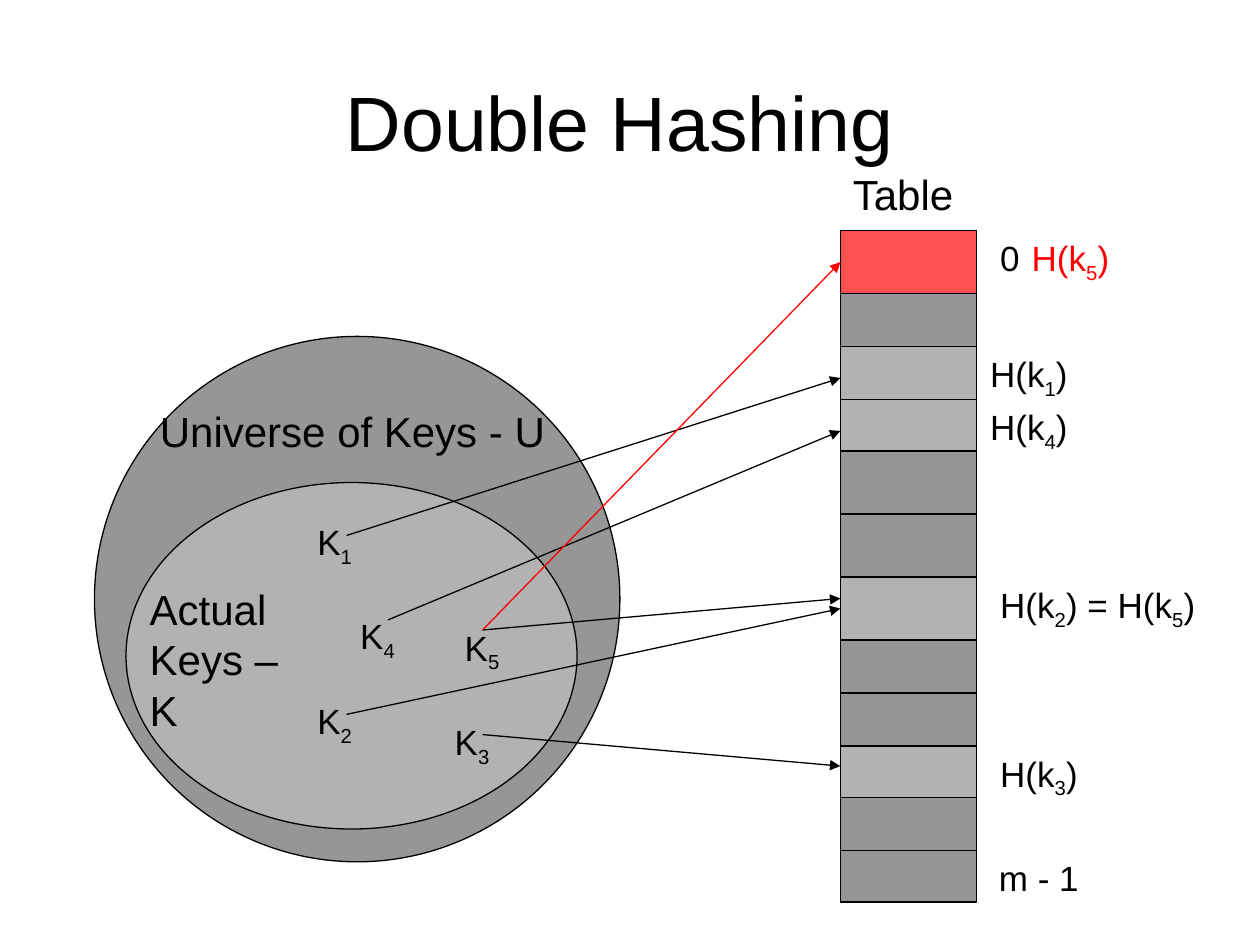
from lxml import etree
from pptx import Presentation
from pptx.dml.color import RGBColor
from pptx.enum.shapes import MSO_CONNECTOR, MSO_SHAPE
from pptx.enum.text import MSO_ANCHOR, MSO_AUTO_SIZE, PP_ALIGN
from pptx.oxml.ns import qn
from pptx.util import Inches, Pt

BLACK, RED = "000000", "FF0000"
DARK_GRAY, LIGHT_GRAY, LIGHT_RED = "969696", "B2B2B2", "FF5050"


def rgb(color):
    return RGBColor.from_string(color)


def add_runs(paragraph, text, size, color=BLACK):
    """Underscores switch subscript on and off."""
    for i, part in enumerate(text.split("_")):
        if part:
            run = paragraph.add_run()
            run.text = part
            run.font.name = "Arial"
            run.font.size = Pt(size)
            run.font.color.rgb = rgb(color)
            if i % 2:
                run.font._element.set("baseline", "-25000")


prs = Presentation()
prs.slide_width, prs.slide_height = Inches(10), Inches(7.5)
slide = prs.slides.add_slide(prs.slide_layouts[5])
shapes = slide.shapes

title = shapes.title
title.left, title.top = Inches(0.67), Inches(0.33)
title.width, title.height = Inches(8.5), Inches(1.25)
title.text_frame.vertical_anchor = MSO_ANCHOR.MIDDLE
title.text_frame.paragraphs[0].alignment = PP_ALIGN.CENTER
add_runs(title.text_frame.paragraphs[0], "Double Hashing", 44)

# Key sets, the table column and its used slots
TABLE_LEFT, TABLE_WIDTH = 6.67, 1.08
row_edges = [1.83, 2.33, 2.75, 3.17, 3.58, 4.08, 4.58,
             5.08, 5.5, 5.92, 6.33, 6.75, 7.16]
areas = [
    (MSO_SHAPE.OVAL, 0.75, 2.67, 4.17, 4.17, DARK_GRAY),
    (MSO_SHAPE.OVAL, 1, 3.83, 3.58, 2.75, LIGHT_GRAY),
    (MSO_SHAPE.RECTANGLE, TABLE_LEFT, row_edges[0], TABLE_WIDTH,
     row_edges[-1] - row_edges[0], DARK_GRAY),
]
used_rows = {0: LIGHT_RED, 2: LIGHT_GRAY, 3: LIGHT_GRAY, 6: LIGHT_GRAY, 9: LIGHT_GRAY}
for row, fill in used_rows.items():
    areas.append((MSO_SHAPE.RECTANGLE, TABLE_LEFT, row_edges[row], TABLE_WIDTH,
                  row_edges[row + 1] - row_edges[row], fill))

drawn_areas = []
for kind, left, top, width, height, fill in areas:
    area = shapes.add_shape(kind, Inches(left), Inches(top), Inches(width), Inches(height))
    area.shadow.inherit = False
    area.fill.solid()
    area.fill.fore_color.rgb = rgb(fill)
    area.line.color.rgb = rgb(BLACK)
    area.line.width = Pt(0.75)
    drawn_areas.append(area)
slots = dict(zip(used_rows, drawn_areas[3:]))

# Row dividers, then arrows from keys to slots.
# The last value is the row whose left side the arrow meets in the middle.
lines = [(TABLE_LEFT, y, TABLE_LEFT + TABLE_WIDTH, y, BLACK, False, None)
         for y in row_edges[1:-1]]
lines += [
    (2.75, 4.25, TABLE_LEFT, 3, BLACK, True, None),
    (2.75, 5.67, TABLE_LEFT, 4.83, BLACK, True, 6),
    (3.83, 5.83, TABLE_LEFT, 6.08, BLACK, True, None),
    (3.08, 4.92, TABLE_LEFT, 3.42, BLACK, True, None),
    (3.83, 5, TABLE_LEFT, 4.75, BLACK, True, None),
    (3.83, 5, TABLE_LEFT, 2.08, RED, True, 0),
]
for x1, y1, x2, y2, color, is_arrow, row in lines:
    line = shapes.add_connector(MSO_CONNECTOR.STRAIGHT, Inches(x1), Inches(y1),
                                Inches(x2), Inches(y2))
    line.line.color.rgb = rgb(color)
    line.line.width = Pt(0.75)
    if is_arrow:
        etree.SubElement(line.line._get_or_add_ln(), qn("a:tailEnd"), type="triangle")
    etree.SubElement(line._element.spPr, qn("a:effectLst"))
    if row is not None:
        line.end_connect(slots[row], 1)

labels = [
    (1.17, 3.17, 3.28, 0.5, "Universe of Keys - U", 24, BLACK),
    (1.09, 4.58, 1.23, 1.3, "Actual\nKeys –\nK", 24, BLACK),
    (6.67, 1.29, 1.04, 0.5, "Table", 24, BLACK),
    (2.42, 4.08, 0.5, 0.48, "K_1", 20, BLACK),
    (2.42, 5.5, 0.5, 0.48, "K_2", 20, BLACK),
    (3.51, 5.67, 0.5, 0.48, "K_3", 20, BLACK),
    (2.76, 4.83, 0.5, 0.48, "K_4", 20, BLACK),
    (3.59, 4.92, 0.5, 0.48, "K_5", 20, BLACK),
    (7.84, 1.83, 0.36, 0.44, "0", 20, BLACK),
    (8.09, 1.83, 0.84, 0.48, "H(k_5_)", 20, RED),
    (7.76, 2.75, 0.84, 0.48, "H(k_1_)", 20, BLACK),
    (7.76, 3.17, 0.84, 0.48, "H(k_4_)", 20, BLACK),
    (7.84, 4.58, 1.77, 0.48, "H(k_2_) = H(k_5_)", 20, BLACK),
    (7.84, 5.92, 0.84, 0.48, "H(k_3_)", 20, BLACK),
    (7.83, 6.75, 0.86, 0.44, "m - 1", 20, BLACK),
]
for left, top, width, height, text, size, color in labels:
    frame = shapes.add_textbox(Inches(left), Inches(top),
                               Inches(width), Inches(height)).text_frame
    frame.word_wrap = False
    frame.auto_size = MSO_AUTO_SIZE.SHAPE_TO_FIT_TEXT
    for i, row_text in enumerate(text.split("\n")):
        paragraph = frame.add_paragraph() if i else frame.paragraphs[0]
        add_runs(paragraph, row_text, size, color)

prs.save("out.pptx")
